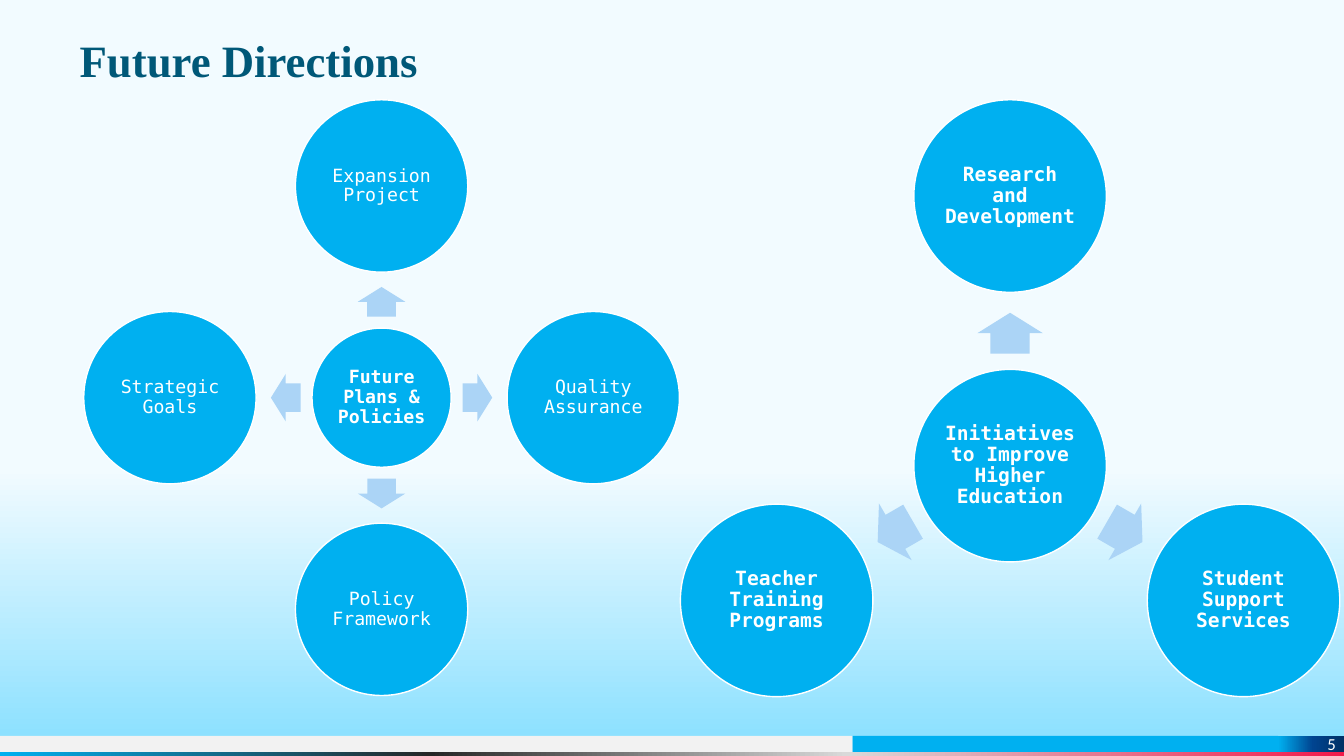
from math import cos, radians, sin

from lxml import etree
from pptx import Presentation
from pptx.dml.color import RGBColor
from pptx.enum.shapes import MSO_SHAPE
from pptx.enum.text import MSO_ANCHOR, PP_ALIGN
from pptx.oxml.ns import qn
from pptx.util import Pt

RECTANGLE, OVAL, ARROW = MSO_SHAPE.RECTANGLE, MSO_SHAPE.OVAL, MSO_SHAPE.RIGHT_ARROW
TOP, MIDDLE = MSO_ANCHOR.TOP, MSO_ANCHOR.MIDDLE
LEFT, CENTER, RIGHT = PP_ALIGN.LEFT, PP_ALIGN.CENTER, PP_ALIGN.RIGHT

WIDTH, HEIGHT = 960, 540
MONO, SERIF, SANS = "DejaVu Sans Mono", "Times New Roman", "Calibri"
COLORS = {
    "title": "005878",
    "circle": "00B0F0",
    "arrow": "ABD4F6",
    "white": "FFFFFF",
    "pale": "F2F2F2",
}
GRADIENTS = {
    "background": [(62, "F2FBFF"), (100, "86DFFF")],
    "stripe": [(0, "F2194A"), (37, "D9D9D9"), (68, "262626"), (100, "00B0F0")],
    "number": [(0, "003065"), (47, "004490"), (100, "00B0F0")],
}


def set_gradient(fill, element, name, angle):
    fill.gradient()
    fill.gradient_angle = angle
    stops = next(element.iter(qn("a:gsLst")))
    for stop in list(stops):
        stops.remove(stop)
    for position, color in GRADIENTS[name]:
        stop = etree.SubElement(stops, qn("a:gs"), pos=str(position * 1000))
        etree.SubElement(stop, qn("a:srgbClr"), val=color)


def add_block(page, kind, box, color=None):
    block = page.shapes.add_shape(kind, *(Pt(length) for length in box))
    block.shadow.inherit = False
    block.line.fill.background()
    if color:
        block.fill.solid()
        block.fill.fore_color.rgb = RGBColor.from_string(COLORS[color])
    return block


def write(shape, text, size, font, color, bold=False, align=LEFT, anchor=TOP,
          insets=(0, 0, 0, 0), spacing=0.9):
    frame = shape.text_frame
    frame.word_wrap = True
    frame.vertical_anchor = anchor
    (frame.margin_left, frame.margin_top,
     frame.margin_right, frame.margin_bottom) = (Pt(inset) for inset in insets)
    para = frame.paragraphs[0]
    para.alignment = align
    para.line_spacing = spacing
    span = para.add_run()
    span.text = text
    span.font.size = Pt(size)
    span.font.name = font
    span.font.bold = bold
    span.font.color.rgb = RGBColor.from_string(COLORS[color])


def add_title(page, box, text):
    title = page.shapes.add_textbox(*(Pt(length) for length in box))
    write(title, text, 32, SERIF, "title", bold=True)


def add_circle(page, x, y, size, text, text_size, bold):
    circle = add_block(page, OVAL, (x - size / 2, y - size / 2, size, size), "circle")
    circle.line.color.rgb = RGBColor.from_string(COLORS["white"])
    circle.line.width = Pt(1)
    write(circle, text, text_size, MONO, "white", bold, CENTER, MIDDLE, (1.4,) * 4)


def add_radial(page, box, hub, nodes, hub_size, node_size, text_size, bold_nodes):
    left, top, width, height = box
    angles = [360 * index / len(nodes) - 90 for index in range(len(nodes))]
    reach = max(cos(radians(angle)) for angle in angles)
    radius = (width - node_size) / 2 / reach
    x, y = left + width / 2, top + node_size / 2 + radius
    gap = radius - (hub_size + node_size) / 2
    arrow_distance = hub_size / 2 + 0.47 * gap
    arrow_length, arrow_width = 0.53 * gap, 0.85 * gap

    add_circle(page, x, y, hub_size, hub, text_size, True)
    for angle, node in zip(angles, nodes):
        across, down = cos(radians(angle)), sin(radians(angle))
        arrow = add_block(page, ARROW, (
            x + arrow_distance * across - arrow_length / 2,
            y + arrow_distance * down - arrow_width / 2,
            arrow_length, arrow_width), "arrow")
        arrow.adjustments[0] = 0.6
        arrow.adjustments[1] = 0.5
        arrow.rotation = angle % 360
        add_circle(page, x + radius * across, y + radius * down,
                   node_size, node, text_size, bold_nodes)


def add_footer(page, box, number):
    left, top, width, height = box
    band, number_width, accent_width = 11.5, 47, 304
    number_left = left + width - number_width
    accent_left = number_left - accent_width
    add_block(page, RECTANGLE, (left, top, accent_left - left, band), "pale")
    add_block(page, RECTANGLE, (accent_left, top, accent_width, band), "circle")
    stripe = add_block(page, RECTANGLE, (left, top + band, width, height - band))
    set_gradient(stripe.fill, stripe.element, "stripe", 180)
    badge = add_block(page, RECTANGLE, (number_left, top, number_width, band))
    set_gradient(badge.fill, badge.element, "number", 180)
    write(badge, number, 12, SANS, "white", align=RIGHT, anchor=MIDDLE,
          insets=(0, 0, 5.8, 0), spacing=1.0)


def main():
    deck = Presentation()
    deck.slide_width, deck.slide_height = Pt(WIDTH), Pt(HEIGHT)
    page = deck.slides.add_slide(deck.slide_layouts[6])
    set_gradient(page.background.fill, page.element, "background", 270)
    add_title(page, (56.9, 28, 903, 42.5), "Future Directions")
    add_radial(page, (59.8, 71.3, 425.5, 425.5), "Future Plans & Policies",
               ["Expansion Project", "Quality Assurance",
                "Policy Framework", "Strategic Goals"],
               99.4, 123.1, 13, False)
    add_radial(page, (486, 71.3, 471, 426), "Initiatives to Improve Higher Education",
               ["Research and Development", "Student Support Services",
                "Teacher Training Programs"],
               137.5, 137.5, 14, True)
    add_footer(page, (0, 525.6, WIDTH, 14.4), "5")
    deck.save("out.pptx")


if __name__ == "__main__":
    main()
